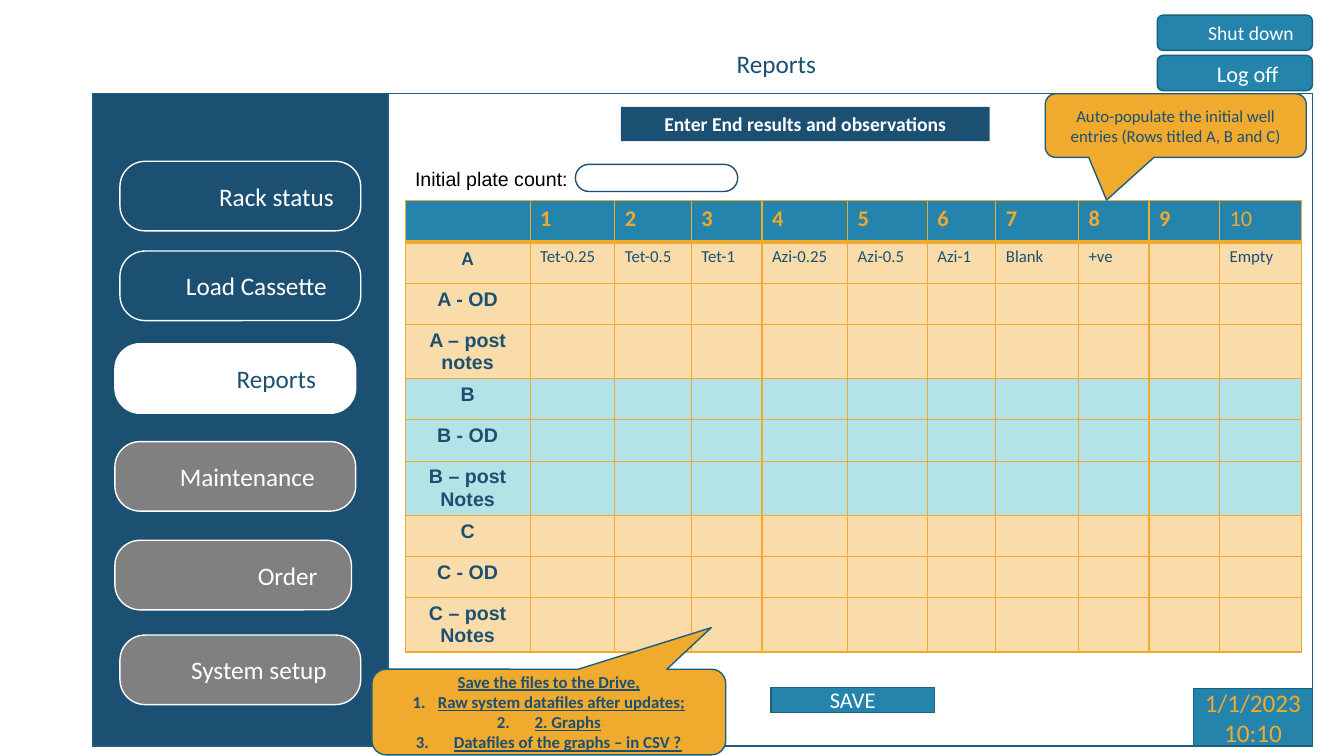
from lxml.etree import SubElement
from pptx import Presentation
from pptx.dml.color import RGBColor
from pptx.enum.shapes import MSO_SHAPE
from pptx.enum.text import MSO_ANCHOR, PP_ALIGN
from pptx.oxml.ns import qn
from pptx.util import Pt

COLORS = {
    "navy": "1C5073", "teal": "2484AC", "edge": "1A607D", "amber": "F0AA2E",
    "sand": "F9DCA9", "aqua": "B3E3E6", "grey": "808080",
    "white": "FFFFFF", "black": "000000",
}


def rgb(name):
    return RGBColor.from_string(COLORS[name])


class ScreenMockup:
    font = "Calibri"
    row_height = 29.5

    def __init__(self, slide):
        self.slide = slide

    def set_text(self, frame, text, size, color, align=PP_ALIGN.CENTER,
                 font=None, bold=False, underline=False):
        frame.text = text
        for paragraph in frame.paragraphs:
            paragraph.alignment = align
            for run in paragraph.runs:
                run.font.name = font or self.font
                run.font.size = Pt(size)
                run.font.bold = bold
                run.font.underline = underline
                run.font.color.rgb = rgb(color)

    def title(self, text, left, top, width, height):
        heading = self.slide.shapes.title
        heading.left, heading.top = Pt(left), Pt(top)
        heading.width, heading.height = Pt(width), Pt(height)
        heading.text_frame.vertical_anchor = MSO_ANCHOR.TOP
        self.set_text(heading.text_frame, text, 18, "navy", PP_ALIGN.LEFT)

    def box(self, left, top, width, height, fill=None, line="edge",
            kind=MSO_SHAPE.RECTANGLE, adjustments=()):
        shape = self.slide.shapes.add_shape(
            kind, Pt(left), Pt(top), Pt(width), Pt(height))
        shape.shadow.inherit = False
        if fill:
            shape.fill.solid()
            shape.fill.fore_color.rgb = rgb(fill)
        else:
            shape.fill.background()
        if line:
            shape.line.color.rgb = rgb(line)
            shape.line.width = Pt(1)
        else:
            shape.line.fill.background()
        for index, value in enumerate(adjustments):
            shape.adjustments[index] = value
        shape.text_frame.word_wrap = True
        shape.text_frame.vertical_anchor = MSO_ANCHOR.MIDDLE
        return shape.text_frame

    def button(self, text, left, top, width, height, fill, line, color,
               size, rounding, right_inset):
        caption = self.box(left, top, width, height, fill, line,
                           MSO_SHAPE.ROUNDED_RECTANGLE, [rounding])
        caption.margin_right = Pt(right_inset)
        self.set_text(caption, text, size, color, PP_ALIGN.RIGHT)

    def callout(self, text, left, top, width, height, tip, **style):
        note = self.box(left, top, width, height, "amber",
                        kind=MSO_SHAPE.ROUNDED_RECTANGULAR_CALLOUT,
                        adjustments=[*tip, 0.167])
        self.set_text(note, text, 12, "navy", **style)
        return note

    def number(self, paragraph, indent):
        properties = paragraph._p.get_or_add_pPr()
        properties.set("marL", str(Pt(indent)))
        properties.set("indent", str(-Pt(indent)))
        SubElement(properties, qn("a:buFont"), typeface="+mj-lt")
        SubElement(properties, qn("a:buAutoNum"), type="arabicPeriod")

    def label(self, text, left, top, width, height):
        caption = self.slide.shapes.add_textbox(
            Pt(left), Pt(top), Pt(width), Pt(height)).text_frame
        caption.word_wrap = True
        self.set_text(caption, text, 14, "black", PP_ALIGN.LEFT, "Arial")

    def border(self, cell, **widths):
        """Draw amber edges; widths maps L, R, T and B to points."""
        properties = cell._tc.get_or_add_tcPr()
        for side, width in widths.items():
            edge = SubElement(properties, qn(f"a:ln{side}"), w=str(Pt(width)))
            fill = SubElement(edge, qn("a:solidFill"))
            SubElement(fill, qn("a:srgbClr"), val=COLORS["amber"])

    def table(self, rows, fills, left, top, widths):
        grid = self.slide.shapes.add_table(
            len(rows), len(widths), Pt(left), Pt(top),
            Pt(sum(widths)), Pt(self.row_height * len(rows))).table
        grid.horz_banding = False
        for column, width in zip(grid.columns, widths):
            column.width = Pt(width)
        for r, (values, fill) in enumerate(zip(rows, fills)):
            grid.rows[r].height = Pt(self.row_height)
            for c in range(len(widths)):
                cell = grid.cell(r, c)
                self.border(cell, L=1, R=1, T=3 if r == 1 else 1,
                            B=3 if r == 0 else 1)
                cell.fill.solid()
                cell.fill.fore_color.rgb = rgb(fill)
                if c >= len(values) or not values[c]:
                    continue
                frame = cell.text_frame
                if r == 0:
                    self.set_text(frame, values[c], 16, "amber",
                                  PP_ALIGN.LEFT, bold=values[c] != "10")
                elif c == 0:
                    self.set_text(frame, values[c], 14, "navy", bold=True,
                                  font="Calibri" if r == 1 else "Arial")
                else:
                    self.set_text(frame, values[c], 12, "navy", PP_ALIGN.LEFT)


def main():
    deck = Presentation()
    deck.slide_width, deck.slide_height = Pt(960), Pt(540)
    screen = ScreenMockup(deck.slides.add_slide(deck.slide_layouts[5]))

    screen.title("Reports", 519, 31, 120, 29)
    screen.box(66.2, 67, 871.2, 465.8)
    screen.box(66.2, 67, 211, 465.8, "navy")

    for action, top, size, inset in (("Log off", 39.6, 16, 23),
                                     ("Shut down", 10.8, 14, 12)):
        screen.button(action, 826.6, top, 110.9, 25.2, "teal", "edge",
                      "white", size, 0.167, inset)

    menu = [
        ("Rack status", 85.7, 115.2, 172, "navy", "white", 14),
        ("Load Cassette", 85.7, 179.3, 172, "navy", "white", 19),
        ("Reports", 82.1, 245.5, 172, "white", "navy", 23),
        ("Maintenance", 82.1, 315.4, 172, "grey", "white", 24),
        ("Order", 82.1, 385.9, 169, "grey", "white", 19),
        ("System setup", 85.7, 453.6, 172, "grey", "white", 19),
    ]
    for entry, left, top, width, fill, color, inset in menu:
        screen.button(entry, left, top, width, 49.7, fill, "white",
                      color, 18, 0.363, inset)

    clock = screen.box(852.5, 491.8, 85, 41, "teal")
    screen.set_text(clock, "1/1/2023\n10:10", 18, "amber")
    banner = screen.box(443.5, 76.3, 263.5, 24.5, "navy", None)
    screen.set_text(banner, "Enter End results and observations", 14, "white",
                    bold=True)

    wells = [["", *(str(n) for n in range(1, 11))],
             ["A", "Tet-0.25", "Tet-0.5", "Tet-1", "Azi-0.25", "Azi-0.5",
              "Azi-1", "Blank", "+ve", "", "Empty"],
             ["A - OD"], ["A – post notes"]]
    for plate in "BC":
        wells += [[plate], [f"{plate} - OD"], [f"{plate} – post Notes"]]
    fills = ["teal"] + ["sand"] * 3 + ["aqua"] * 3 + ["sand"] * 3
    screen.table(wells, fills, 289.4, 143.3,
                 [89.3, 60.5, 54.7, 50.4, 61.2, 56.9, 49, 59, 50.4, 50.4, 58.3])

    screen.callout(
        "Auto-populate the initial well entries (Rows titled A, B and C)",
        746.6, 67, 186.5, 45.4, (-0.265, 1.172))
    screen.box(411, 117.4, 116, 19.4, "white", "navy",
               MSO_SHAPE.ROUNDED_RECTANGLE, [0.5])
    screen.label("Initial plate count:", 289.4, 116, 128, 24.5)
    save_button = screen.box(550.8, 491, 116.6, 18, "teal")
    screen.set_text(save_button, "SAVE", 16, "white")

    saving = screen.callout(
        "Save the files to the Drive,\nRaw system datafiles after updates;\n"
        "2. Graphs\nDatafiles of the graphs – in CSV ?",
        265.7, 478, 252.7, 61.2, (0.459, -0.985), bold=True, underline=True)
    for step, indent in zip(saving.paragraphs[1:], (18, 27, 27)):
        screen.number(step, indent)

    deck.save("out.pptx")


if __name__ == "__main__":
    main()
